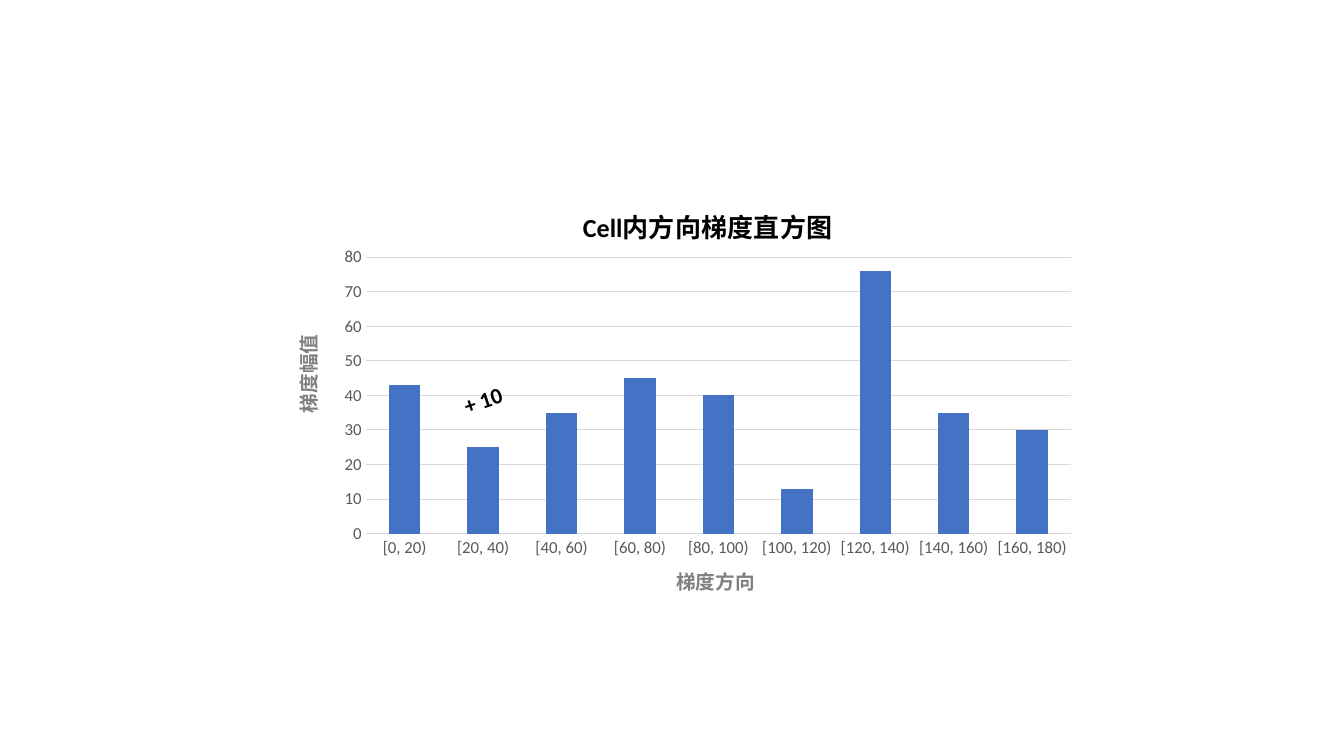
"""Build a slide with a histogram of gradient directions inside a cell."""
import pptx
import pptx.chart.data
import pptx.dml.color
import pptx.enum.chart
import pptx.enum.text
import pptx.oxml
import pptx.oxml.ns
import pptx.util

Pt = pptx.util.Pt


def rgb(value):
    """Turn a hex string into a colour."""
    return pptx.dml.color.RGBColor.from_string(value)


class Deck:
    """Hold the style and the current slide."""

    font = "Calibri"
    ink, label, tick, grid, bar = "000000", "808080", "595959", "D9D9D9", "4472C4"

    def __init__(self, width, height):
        """Start a presentation with one blank slide."""
        self.prs = pptx.Presentation()
        self.prs.slide_width, self.prs.slide_height = Pt(width), Pt(height)
        self.s = self.prs.slides.add_slide(self.prs.slide_layouts[6])

    def style(self, font, size, color, bold=False):
        """Apply the deck's typeface with a size and colour."""
        font.name, font.size, font.bold = self.font, Pt(size), bold
        font.color.rgb = rgb(color)

    def text(self, text, box, size, color, rotation=0):
        """Add a bold one-line label."""
        sp = self.s.shapes.add_textbox(*map(Pt, box))
        sp.rotation = rotation
        tf = sp.text_frame
        tf.word_wrap = False
        tf.auto_size = pptx.enum.text.MSO_AUTO_SIZE.SHAPE_TO_FIT_TEXT
        p = tf.paragraphs[0]
        p.text = text
        self.style(p.font, size, color, True)

    def place(self, element, **fractions):
        """Set a manual layout on a chart part, in fractions of the chart."""
        ns = pptx.oxml.ns
        layout = element.find(ns.qn("c:layout"))
        if layout is None:
            layout = pptx.oxml.parse_xml(f"<c:layout {ns.nsdecls('c')}/>")
            tx = element.find(ns.qn("c:tx"))
            if tx is None:
                element.insert(0, layout)
            else:
                tx.addnext(layout)
        inner = '<c:layoutTarget val="inner"/>' if "w" in fractions else ""
        modes = "".join(f'<c:{k}Mode val="edge"/>' for k in "xy")
        values = "".join(f'<c:{k} val="{v}"/>' for k, v in fractions.items())
        layout.append(pptx.oxml.parse_xml(
            f"<c:manualLayout {ns.nsdecls('c')}>{inner}{modes}{values}</c:manualLayout>"))

    def columns(self, title, box, categories, values):
        """Add a titled column chart with one series."""
        data = pptx.chart.data.CategoryChartData()
        data.categories = categories
        data.add_series("Series 1", values)
        kind = pptx.enum.chart.XL_CHART_TYPE.COLUMN_CLUSTERED
        chart = self.s.shapes.add_chart(kind, *map(Pt, box), data).chart
        self.style(chart.font, 10, self.ink)
        chart.has_legend = False
        chart.has_title = True
        p = chart.chart_title.text_frame.paragraphs[0]
        p.text = title
        self.style(p.font, 18.6, self.ink, True)

        plot = chart.plots[0]
        plot.vary_by_categories = False
        plot.gap_width, plot.overlap = 150, -27
        fill = plot.series[0].format.fill
        fill.solid()
        fill.fore_color.rgb = rgb(self.bar)

        cat, val = chart.category_axis, chart.value_axis
        for axis in (cat, val):
            axis.major_tick_mark = axis.minor_tick_mark = pptx.enum.chart.XL_TICK_MARK.NONE
            self.style(axis.tick_labels.font, 12, self.tick)
        val.minimum_scale, val.maximum_scale, val.major_unit = 0, 80, 10
        val.has_major_gridlines = True
        val.format.line.fill.background()
        for line in (cat.format.line, val.major_gridlines.format.line):
            line.color.rgb, line.width = rgb(self.grid), Pt(0.75)

        root = chart.element.chart
        self.place(root.find(pptx.oxml.ns.qn("c:title")), x=0.33, y=0.05)
        self.place(root.plotArea, x=0.05, y=0.2, w=0.93, h=0.72)


deck = Deck(960, 540)
deck.columns("Cell内方向梯度直方图", (234, 128.9, 542.2, 274.3),
             [f"[{start}, {start + 20})" for start in range(0, 180, 20)],
             (43, 25, 35, 45, 40, 13, 76, 35, 30))
deck.text("梯度幅值", (185, 254.2, 71.3, 24.5), 14, deck.label, 270)
deck.text("+ 10", (324, 272.2, 42.5, 26.6), 16, deck.ink, 341.4)
deck.text("梯度方向", (475.9, 403.2, 71.3, 24.5), 14, deck.label)
deck.prs.save("out.pptx")
